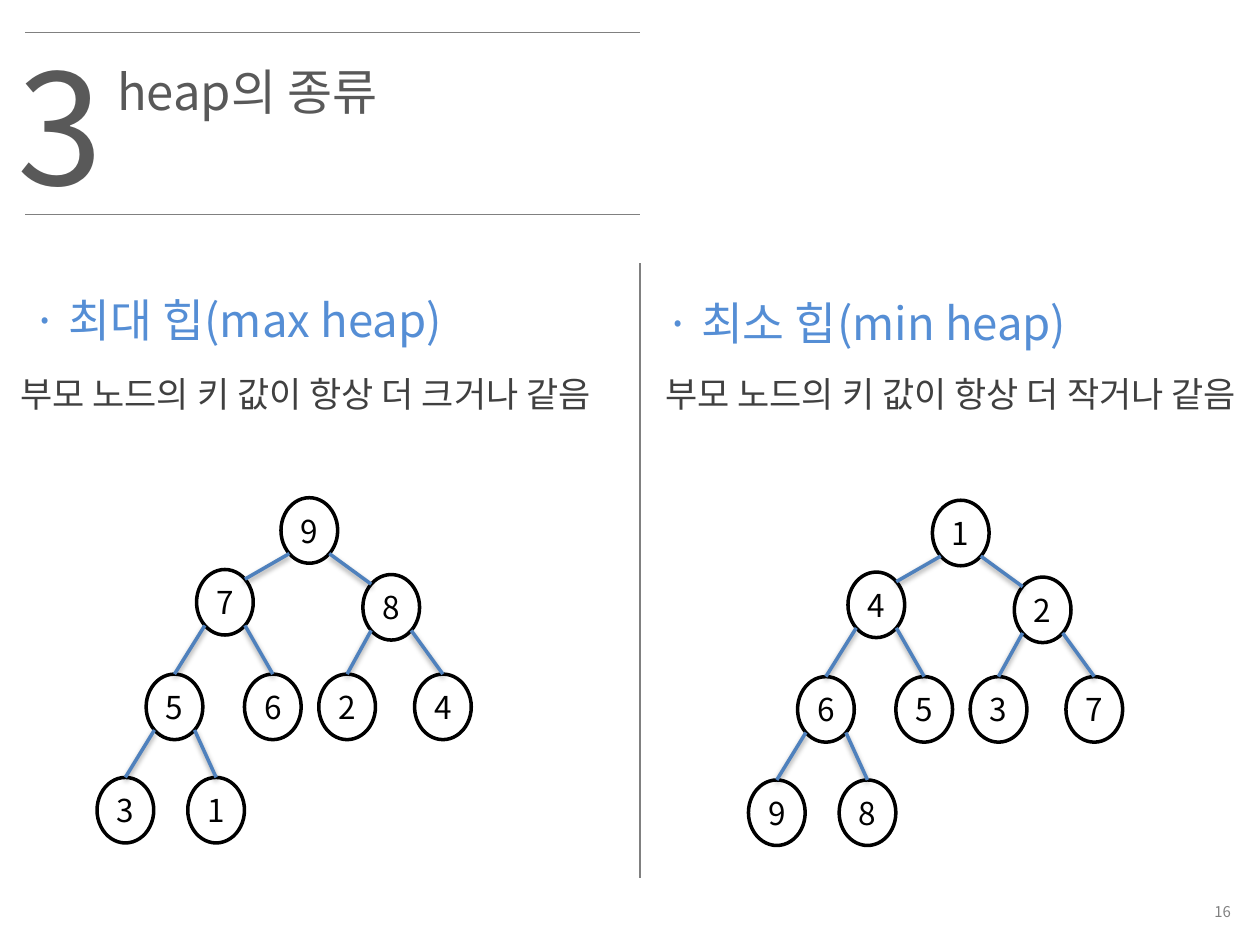
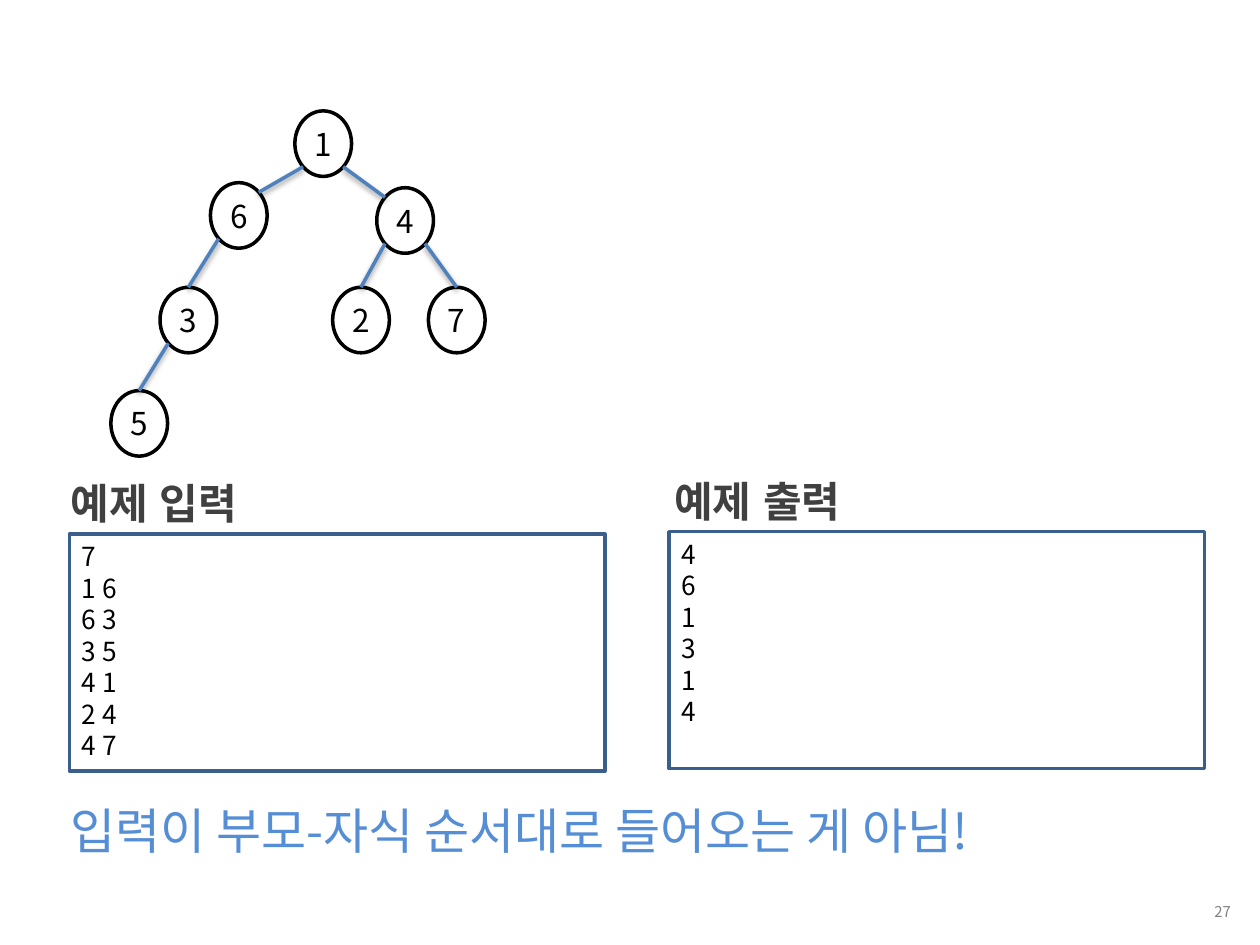
"""Build two slides on heaps: the kinds of heap, and a tree exercise."""
import dataclasses

import lxml.etree
import pptx
import pptx.dml.color
import pptx.enum.shapes
import pptx.enum.text
import pptx.oxml.ns
import pptx.util

Inches = pptx.util.Inches
Pt = pptx.util.Pt
qn = pptx.oxml.ns.qn
Align = pptx.enum.text.PP_ALIGN
Anchor = pptx.enum.text.MSO_ANCHOR


@dataclasses.dataclass(frozen=True)
class Style:
    """One kind of text."""
    size: float
    color: str
    font: str = "Noto Sans CJK KR"
    bold: bool = False


class Theme:
    """Colours, type and line widths shared by the slides."""
    RULE = "808080"
    EDGE = "4F81BD"
    NODE = "000000"
    FRAME = "3A5F8C"
    THIN, THICK = 0.75, 2
    LEADING = 1.2
    TITLE = Style(28, "595959")
    NUMERAL = Style(88, "595959")
    MESSAGE = Style(28, "558ED5")
    HEADING = Style(26, "558ED5")
    BODY = Style(20, "404040")
    LABEL = Style(24, "404040", "Arial", True)
    SAMPLE = Style(15, "000000")
    KEY = Style(18, "000000")
    FOOTER = Style(8.5, "808080")


COMPARISON_LAYOUT = 5 - 1
NODE_WIDTH, NODE_HEIGHT = 0.45, 0.52
# Top left corner of each node relative to the root, in heap order.
NODE_OFFSETS = [(0, 0), (-0.67, 0.57), (0.65, 0.61),
                (-1.07, 1.4), (-0.29, 1.4), (0.3, 1.4), (1.06, 1.4),
                (-1.46, 2.22), (-0.74, 2.22)]


def rgb(color):
    """Turn a hex string into a colour."""
    return pptx.dml.color.RGBColor.from_string(color)


def set_outline(item, color, width):
    """Give a shape or connector a solid line."""
    item.line.color.rgb = rgb(color)
    item.line.width = Pt(width)


def format_paragraph(para, style, align):
    """Apply a text style and remove inherited bullets and indents."""
    para.alignment = align
    para.line_spacing = Pt(style.size * Theme.LEADING)
    para.space_before = para.space_after = Pt(0)
    font = para.font
    font.size = Pt(style.size)
    font.bold = style.bold
    font.color.rgb = rgb(style.color)
    font.name = style.font
    properties = para._p.get_or_add_pPr()
    properties.set("marL", "0")
    properties.set("indent", "0")
    defaults = properties.find(qn("a:defRPr"))
    lxml.etree.SubElement(defaults, qn("a:ea")).set("typeface", style.font)
    defaults.addprevious(lxml.etree.Element(qn("a:buNone")))


def write(box, text, style, align=Align.LEFT, anchor=Anchor.TOP, inset=0.1):
    """Fill a shape with text, one paragraph a line."""
    frame = box.text_frame
    frame.text = text
    frame.word_wrap = True
    frame.auto_size = pptx.enum.text.MSO_AUTO_SIZE.NONE
    frame.vertical_anchor = anchor
    frame.margin_left = Inches(inset)
    frame.margin_right = 0
    frame.margin_top = frame.margin_bottom = Inches(inset / 2)
    for para in frame.paragraphs:
        format_paragraph(para, style, align)


def fill_placeholder(page, index, text, style, left, top, width, height):
    """Move a placeholder, write its text and return it."""
    box = page.placeholders[index]
    box.left, box.top = Inches(left), Inches(top)
    box.width, box.height = Inches(width), Inches(height)
    write(box, text, style)
    return box


def add_text(page, text, style, left, top, width, height, **layout):
    """Add a text box."""
    box = page.shapes.add_textbox(
        Inches(left), Inches(top), Inches(width), Inches(height))
    write(box, text, style, **layout)


def add_line(page, start, end, color, width, shadow=False):
    """Add a straight line, with a soft shadow on request."""
    line = page.shapes.add_connector(
        pptx.enum.shapes.MSO_CONNECTOR.STRAIGHT,
        *(Inches(value) for value in (*start, *end)))
    set_outline(line, color, width)
    effects = lxml.etree.SubElement(line._element.spPr, qn("a:effectLst"))
    if shadow:
        outer = lxml.etree.SubElement(
            effects, qn("a:outerShdw"), blurRad="40000", dist="20000",
            dir="5400000", rotWithShape="0")
        black = lxml.etree.SubElement(outer, qn("a:srgbClr"), val="000000")
        lxml.etree.SubElement(black, qn("a:alpha"), val="38000")


def add_node(page, key, left, top):
    """Add one round tree node."""
    node = page.shapes.add_shape(
        pptx.enum.shapes.MSO_SHAPE.OVAL, Inches(left), Inches(top),
        Inches(NODE_WIDTH), Inches(NODE_HEIGHT))
    node.shadow.inherit = False
    node.fill.background()
    set_outline(node, Theme.NODE, Theme.THICK)
    write(node, str(key), Theme.KEY, Align.CENTER, Anchor.MIDDLE, inset=0)


def rim_point(corner, across, down):
    """Find the diagonal point on a node's rim; across and down are signs."""
    reach = 0.5 ** 0.5
    return (corner[0] + NODE_WIDTH / 2 * (1 + across * reach),
            corner[1] + NODE_HEIGHT / 2 * (1 + down * reach))


def add_tree(page, keys, left, top):
    """Draw a binary tree from keys in heap order; None is a gap."""
    corners = [(left + x, top + y) for x, y in NODE_OFFSETS]
    for index, key in enumerate(keys):
        if key is None:
            continue
        corner = corners[index]
        add_node(page, key, *corner)
        if index == 0:
            continue
        parent = (index - 1) // 2
        side = -1 if index % 2 else 1
        if parent == 0:
            end = rim_point(corner, -side, -1)
        else:
            end = (corner[0] + NODE_WIDTH / 2, corner[1])
        add_line(page, rim_point(corners[parent], side, 1), end,
                 Theme.EDGE, Theme.THICK, shadow=True)


def add_page(deck, number):
    """Add a comparison slide with its page number."""
    page = deck.slides.add_slide(deck.slide_layouts[COMPARISON_LAYOUT])
    add_text(page, str(number), Theme.FOOTER, 7.76, 7.1, 2.01, 0.27,
             align=Align.RIGHT, anchor=Anchor.MIDDLE)
    return page


def build_heap_kinds(deck):
    """Compare the max heap with the min heap."""
    page = add_page(deck, 16)
    for y in (0.26, 1.7):
        add_line(page, (0.2, y), (5.08, y), Theme.RULE, Theme.THIN)
    add_line(page, (5.08, 2.09), (5.08, 6.97), Theme.RULE, Theme.THIN)
    fill_placeholder(page, 0, "heap의 종류", Theme.TITLE,
                     0.83, 0.44, 2.83, 0.57)
    add_text(page, "3", Theme.NUMERAL, 0.04, 0.2, 0.79, 1.58)

    fill_placeholder(page, 1, "· 최대 힙(max heap)", Theme.HEADING,
                     0.16, 2.27, 3.96, 0.54)
    fill_placeholder(page, 2, "부모 노드의 키 값이 항상 더 크거나 같음",
                     Theme.BODY, 0.06, 2.91, 4.88, 0.44)
    add_tree(page, [9, 7, 8, 5, 6, 2, 4, 3, 1], 2.23, 3.95)

    fill_placeholder(page, 3, "· 최소 힙(min heap)", Theme.HEADING,
                     5.18, 2.29, 3.96, 0.54)
    fill_placeholder(page, 4, "부모 노드의 키 값이 항상 더 작거나 같음",
                     Theme.BODY, 5.18, 2.91, 4.88, 0.44)
    add_tree(page, [1, 4, 2, 6, 5, 3, 7, 9, 8], 7.4, 3.97)


def build_example(deck):
    """Show a tree with its sample input and output."""
    page = add_page(deck, 27)
    add_tree(page, [1, 6, 4, 3, None, 2, 7, 5], 2.34, 0.88)
    samples = [
        (1, "예제 입력", "7\n1 6\n6 3\n3 5\n4 1\n2 4\n4 7", 0.46, 0.55, 4.24),
        (3, "예제 출력", "4\n6\n1\n3\n1\n4", 5.25, 5.31, 4.22),
    ]
    for index, label, lines, label_left, left, top in samples:
        fill_placeholder(page, index, label, Theme.LABEL,
                         label_left, top - 0.5, 1.89, 0.5)
        frame = fill_placeholder(page, index + 1, lines, Theme.SAMPLE,
                                 left, top, 4.25, 1.88)
        set_outline(frame, Theme.FRAME, Theme.THICK)
    fill_placeholder(page, 0, "입력이 부모-자식 순서대로 들어오는 게 아님!",
                     Theme.MESSAGE, 0.46, 6.3, 8.17, 0.57)


def main():
    """Build and save the deck."""
    deck = pptx.Presentation()
    deck.slide_width, deck.slide_height = Inches(10), Inches(7.5)
    build_heap_kinds(deck)
    build_example(deck)
    deck.save("out.pptx")


main()
